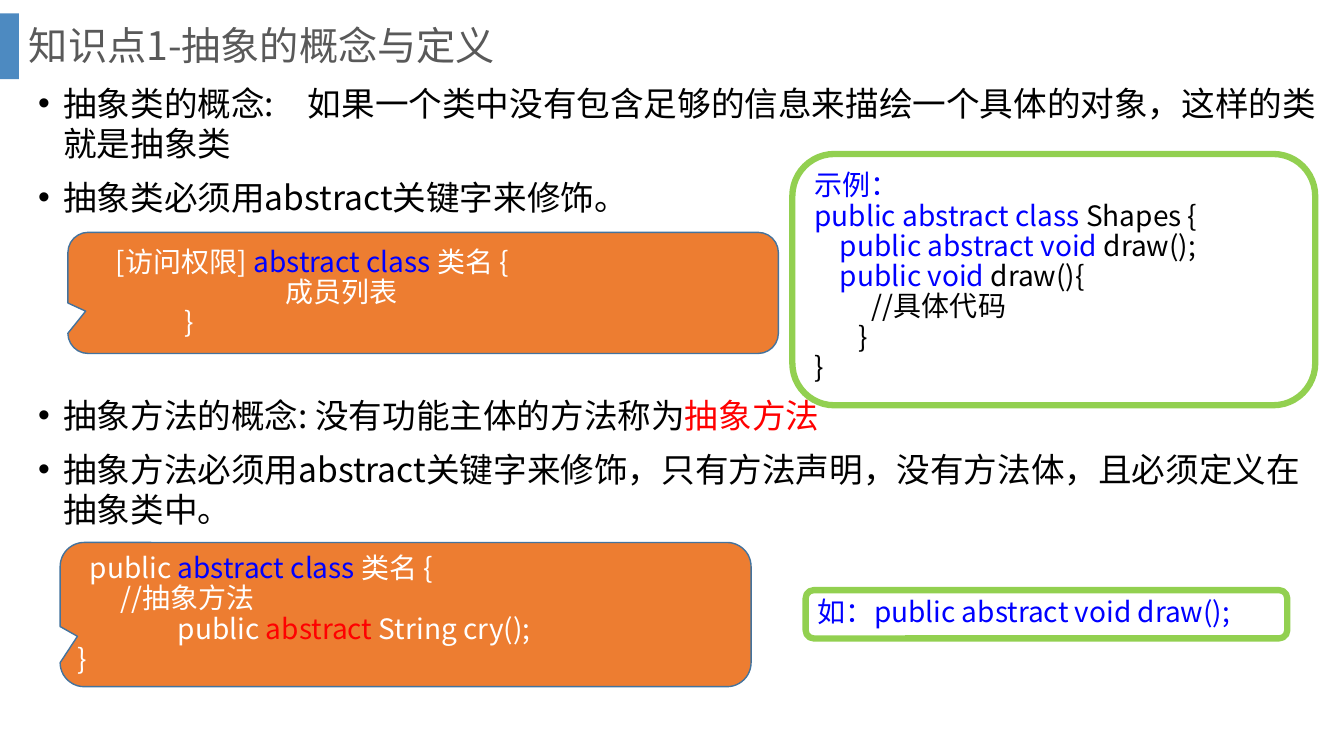
"""Build a slide about abstract classes and abstract methods."""
from lxml import etree
from pptx import Presentation
from pptx.dml.color import RGBColor
from pptx.enum.shapes import MSO_SHAPE
from pptx.enum.text import MSO_ANCHOR, MSO_AUTO_SIZE, PP_ALIGN
from pptx.oxml.ns import qn
from pptx.util import Pt

RECTANGLE = MSO_SHAPE.RECTANGLE
ROUNDED = MSO_SHAPE.ROUNDED_RECTANGLE
CALLOUT = MSO_SHAPE.ROUNDED_RECTANGULAR_CALLOUT
TOP, MIDDLE = MSO_ANCHOR.TOP, MSO_ANCHOR.MIDDLE
LEFT = PP_ALIGN.LEFT
NO_AUTOFIT = MSO_AUTO_SIZE.NONE
FONT = "Noto Sans CJK SC"
BLACK, WHITE, RED, BLUE = "000000", "FFFFFF", "FF0000", "0000FF"
ORANGE, GREEN, GRAY = "ED7D31", "92D050", "595959"


def color(value):
    """Turn a hex string into a colour."""
    return RGBColor.from_string(value)


def write(frame, lines, size, spacing, anchor):
    """Fill a text frame with (indent, runs) lines and return its paragraphs."""
    frame.word_wrap = True
    frame.auto_size = NO_AUTOFIT
    frame.vertical_anchor = anchor
    for index, (indent, runs) in enumerate(lines):
        para = frame.paragraphs[0] if index == 0 else frame.add_paragraph()
        para.alignment = LEFT
        para.line_spacing = Pt(spacing)
        para.font.size = Pt(size)
        para.font.name = FONT
        properties = para._p.get_or_add_pPr()
        properties.set("marL", str(Pt(indent)))
        properties.set("indent", "0")
        etree.SubElement(properties.find(qn("a:defRPr")), qn("a:ea"), typeface=FONT)
        for text, shade in runs:
            span = para.add_run()
            span.text = text
            span.font.color.rgb = color(shade)
    return frame.paragraphs


deck = Presentation()
deck.slide_width, deck.slide_height = Pt(960), Pt(540)
page = deck.slides.add_slide(deck.slide_layouts[1])

bar = page.shapes.add_shape(RECTANGLE, Pt(0), Pt(9.5), Pt(13.5), Pt(47))
bar.shadow.inherit = False
bar.fill.solid()
bar.fill.fore_color.rgb = color("4D8AC1")
bar.line.fill.background()

title, body = page.placeholders
title.left, title.top, title.width, title.height = Pt(13.5), Pt(0), Pt(911.5), Pt(67)
write(title.text_frame, [(0, [("知识点1-抽象的概念与定义", GRAY)])], 28, 30.2, MIDDLE)

body.left, body.top, body.width, body.height = Pt(20), Pt(55.5), Pt(929), Pt(461.5)
bullets = [
    (18, [("抽象类的概念:　如果一个类中没有包含足够的信息来描绘一个具体的对象，这样的类就是抽象类", BLACK)]),
    (18, [("抽象类必须用abstract关键字来修饰。", BLACK)]),
    (18, [("抽象方法的概念: 没有功能主体的方法称为", BLACK), ("抽象方法", RED)]),
    (18, [("抽象方法必须用abstract关键字来修饰，只有方法声明，没有方法体，且必须定义在抽象类中。", BLACK)]),
]
paragraphs = write(body.text_frame, bullets, 24, 28.6, TOP)
for para, gap in zip(paragraphs, (10, 10, 127, 10)):
    para.space_before = Pt(gap)
    para._p.pPr.set("indent", str(-Pt(18)))

class_syntax = [
    (23, [("[访问权限] ", WHITE), ("abstract class ", BLUE), ("类名 {", WHITE)]),
    (144, [("成员列表", WHITE)]),
    (72, [("}", WHITE)]),
]
method_syntax = [
    (9, [("public ", WHITE), ("abstract class ", BLUE), ("类名 {", WHITE)]),
    (31, [("//抽象方法", WHITE)]),
    (72, [("public", WHITE), (" abstract ", RED), ("String cry();", WHITE)]),
    (0, [("}", WHITE)]),
]
method_example = [(0, [("如：public abstract void draw();", BLUE)])]
class_example = [
    (0, [("示例：", BLUE)]),
    (0, [("public abstract class", BLUE), (" Shapes {", BLACK)]),
    (18, [("public abstract void", BLUE), (" draw();", BLACK)]),
    (18, [("public void", BLUE), (" draw(){", BLACK)]),
    (41, [("//具体代码", BLACK)]),
    (31.5, [("}", BLACK)]),
    (0, [("}", BLACK)]),
]
callout_style = (CALLOUT, (-0.475, 0.151, 0.167), ORANGE, "43739E", 1, MIDDLE)
frame_style = (ROUNDED, (0.167,), None, GREEN, 4.5, TOP)
code_boxes = [
    ((48.5, 166, 507.5, 86.5), callout_style, class_syntax),
    ((43, 387.5, 493.5, 103), callout_style, method_syntax),
    ((575.5, 421.5, 344, 34.5), frame_style, method_example),
    ((566, 110, 373.5, 179.5), frame_style, class_example),
]
for place, style, lines in code_boxes:
    kind, adjustments, fill, outline, weight, anchor = style
    box = page.shapes.add_shape(kind, *map(Pt, place))
    box.shadow.inherit = False
    for index, value in enumerate(adjustments):
        box.adjustments[index] = value
    if fill:
        box.fill.solid()
        box.fill.fore_color.rgb = color(fill)
    else:
        box.fill.background()
    box.line.color.rgb = color(outline)
    box.line.width = Pt(weight)
    write(box.text_frame, lines, 20, 21.6, anchor)

deck.save("out.pptx")
